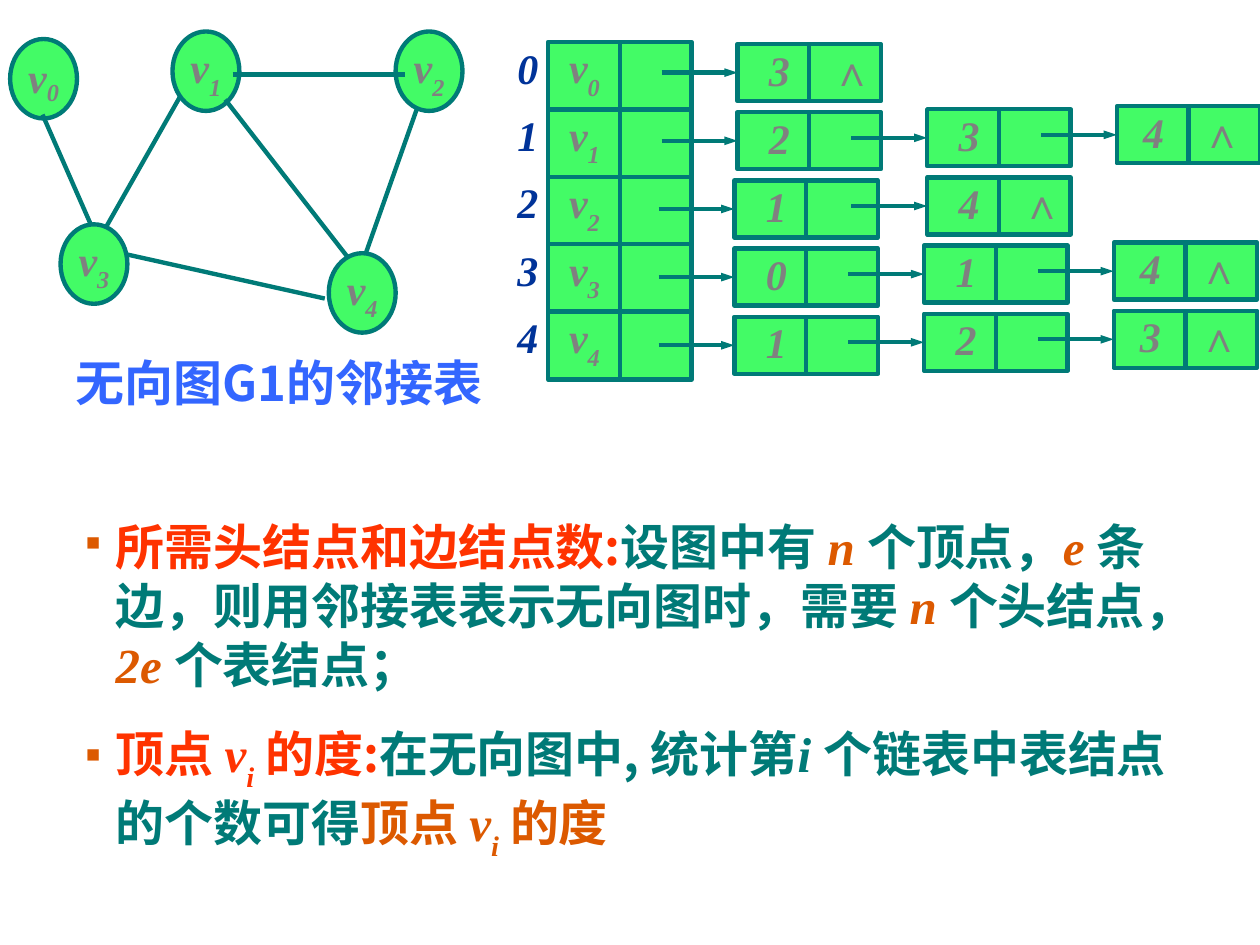
from lxml.etree import SubElement
from pptx import Presentation
from pptx.dml.color import RGBColor
from pptx.enum.shapes import MSO_CONNECTOR, MSO_SHAPE
from pptx.enum.text import MSO_ANCHOR, MSO_AUTO_SIZE, PP_ALIGN
from pptx.oxml.ns import qn
from pptx.util import Pt

COLORS = {"node": "43FB66", "teal": "007A77", "gray": "808080", "navy": "003399",
          "blue": "3366FF", "red": "FF3300", "orange": "DC5900"}
CHINESE, LATIN = "Noto Sans CJK SC", "Times New Roman"
SYMBOL = {"name": LATIN, "size": Pt(24), "bold": True, "italic": True}
CHINESE_BODY = {"name": CHINESE, "size": Pt(28), "bold": True, "italic": False}
LATIN_BODY = {"name": LATIN, "size": Pt(28), "bold": True, "italic": True}

VERTICES = [(0, 4.3, -20), (92.8, 0, -30), (220.3, 0, -30), (28.8, 110.2, -30), (182.1, 126.7, -30)]
EDGES = [(18.5, 47.5, 46.4, 111), (97, 37.4, 54.5, 112.3), (122.9, 38.9, 193.4, 129.6),
         (66.7, 127.4, 179.8, 152.6), (127.2, 24.5, 225.8, 24.5), (232.3, 44.6, 203.5, 126)]
ADJACENCY = ["3", "234", "14", "014", "123"]
POINTS = [
    [("所需头结点和边结点数:", "red"), ("设图中有 ", "teal"), ("n ", "orange", LATIN_BODY),
     ("个顶点，", "teal"), ("e ", "orange", LATIN_BODY),
     ("条边，则用邻接表表示无向图时，需要 ", "teal"), ("n ", "orange", LATIN_BODY),
     ("个头结点，", "teal"), ("2e ", "orange", LATIN_BODY), ("个表结点；", "teal")],
    [("顶点 ", "red"), ("v", "red", LATIN_BODY), ("i", "red", LATIN_BODY, -30),
     (" 的度:", "red"), ("在无向图中, 统计第", "teal"), ("i ", "teal", LATIN_BODY),
     ("个链表中表结点的个数可得", "teal"), ("顶点 ", "orange"), ("v", "orange", LATIN_BODY),
     ("i", "orange", LATIN_BODY, -30), (" 的度", "orange")],
]


def color(name):
    return RGBColor.from_string(COLORS[name])


def add_run(paragraph, text, color_name, style=CHINESE_BODY, baseline=0):
    run = paragraph.add_run()
    run.text = text
    for key, value in style.items():
        setattr(run.font, key, value)
    run.font.color.rgb = color(color_name)
    properties = run.font._element
    if baseline:
        properties.set("baseline", str(baseline * 1000))
    SubElement(properties, qn("a:ea"), typeface=CHINESE)


def set_frame(frame, **values):
    defaults = {"margin_left": 0, "margin_right": 0, "margin_top": 0, "margin_bottom": 0,
                "word_wrap": True, "vertical_anchor": MSO_ANCHOR.TOP,
                "auto_size": MSO_AUTO_SIZE.NONE}
    for key, value in {**defaults, **values}.items():
        setattr(frame, key, value)


def add_tabs(paragraph, positions):
    tabs = SubElement(paragraph._p.get_or_add_pPr(), qn("a:tabLst"))
    for position in positions:
        SubElement(tabs, qn("a:tab"), pos=str(Pt(position)), algn="l")


def add_node(slide, kind, left, top, width, height, alignment, anchor):
    shape = slide.shapes.add_shape(kind, Pt(left), Pt(top), Pt(width), Pt(height))
    shape.shadow.inherit = False
    shape.fill.solid()
    shape.fill.fore_color.rgb = color("node")
    shape.line.color.rgb = color("teal")
    shape.line.width = Pt(2.5)
    set_frame(shape.text_frame, vertical_anchor=anchor)
    paragraph = shape.text_frame.paragraphs[0]
    paragraph.alignment = alignment
    return shape, paragraph


def add_line(slide, x1, y1, x2, y2):
    line = slide.shapes.add_connector(MSO_CONNECTOR.STRAIGHT, Pt(x1), Pt(y1), Pt(x2), Pt(y2))
    line.line.color.rgb = color("teal")
    line.line.width = Pt(2.5)
    SubElement(line._element.spPr, qn("a:effectLst"))
    return line


def add_arrow(slide, target, x1, y, x2):
    arrow = add_line(slide, x1, y, x2, y)
    arrow.end_connect(target, 1)
    SubElement(arrow.line._get_or_add_ln(), qn("a:tailEnd"), type="triangle", w="sm", len="med")


def add_cell(slide, left, top, height, tabs):
    shape, paragraph = add_node(slide, MSO_SHAPE.RECTANGLE, left, top, 82, height,
                                PP_ALIGN.LEFT, MSO_ANCHOR.TOP)
    add_tabs(paragraph, tabs)
    add_line(slide, left + 41, top, left + 41, top + height)
    return shape, paragraph


def add_graph(slide, left, top):
    for index, (x, y, baseline) in enumerate(VERTICES):
        _, paragraph = add_node(slide, MSO_SHAPE.OVAL, left + x, top + y, 38.2, 45.4,
                                PP_ALIGN.CENTER, MSO_ANCHOR.MIDDLE)
        add_run(paragraph, "v", "gray", SYMBOL)
        add_run(paragraph, str(index), "gray", SYMBOL, baseline)
    for x1, y1, x2, y2 in EDGES:
        add_line(slide, left + x1, top + y1, left + x2, top + y2)


def add_heads(slide, left, top):
    for row in range(len(ADJACENCY)):
        y = top + 38.5 * row
        label = slide.shapes.add_textbox(Pt(left), Pt(y), Pt(20), Pt(35.3))
        set_frame(label.text_frame)
        paragraph = label.text_frame.paragraphs[0]
        paragraph.alignment = PP_ALIGN.CENTER
        add_run(paragraph, str(row), "navy", SYMBOL)
        _, paragraph = add_cell(slide, left + 21.6, y, 38.9, [12])
        add_run(paragraph, "\tv", "gray", SYMBOL)
        add_run(paragraph, str(row), "gray", SYMBOL, -30)


def add_chains(slide, left, top):
    height = 32.6
    for row, chain in enumerate(ADJACENCY):
        for column, vertex in enumerate(chain):
            shifted = row > 1 and (row, column) != (2, 1)
            x = left + 108.4 * column - (1.8 if shifted else 0)
            y = top + 38.95 * row - 1.7 * column
            tabs = [15, 48.5] if column == 2 else [18, 54]
            shape, paragraph = add_cell(slide, x, y, height, tabs)
            ending = "\t∧" if column == len(chain) - 1 else ""
            add_run(paragraph, f"\t{vertex}{ending}", "gray", SYMBOL)
            add_arrow(slide, shape, x - 43.3, y + height / 2, x)


def place_text(shape, left, top, width, height):
    box = {"left": left, "top": top, "width": width, "height": height}
    for key, value in box.items():
        setattr(shape, key, Pt(value))
    set_frame(shape.text_frame, margin_left=Pt(7.2), margin_right=Pt(7.2),
              margin_top=Pt(3.6), margin_bottom=Pt(3.6))


def add_title(slide, left, top, width, height):
    title = slide.shapes.title
    place_text(title, left, top, width, height)
    paragraph = title.text_frame.paragraphs[0]
    paragraph.alignment = PP_ALIGN.LEFT
    add_run(paragraph, "无向图G1的邻接表", "blue")


def add_points(slide, left, top, width, height):
    shape = slide.shapes.add_textbox(0, 0, 0, 0)
    place_text(shape, left, top, width, height)
    frame = shape.text_frame
    for index, runs in enumerate(POINTS):
        paragraph = frame.add_paragraph() if index else frame.paragraphs[0]
        properties = paragraph._p.get_or_add_pPr()
        properties.set("marL", str(Pt(17)))
        properties.set("indent", str(-Pt(17)))
        bullet_color = SubElement(properties, qn("a:buClr"))
        SubElement(bullet_color, qn("a:srgbClr"), val=COLORS["orange"])
        SubElement(properties, qn("a:buSzPct"), val="40000")
        SubElement(properties, qn("a:buChar"), char="■")
        paragraph.space_before = Pt(17.5 if index else 0)
        for run in runs:
            add_run(paragraph, *run)


def main():
    presentation = Presentation()
    presentation.slide_width, presentation.slide_height = Pt(720), Pt(540)
    slide = presentation.slides.add_slide(presentation.slide_layouts[5])
    add_heads(slide, 291.6, 24)
    add_chains(slide, 421.4, 25.2)
    add_graph(slide, 5.8, 18)
    add_title(slide, 36, 198, 251, 70)
    add_points(slide, 42, 291.6, 642, 205)
    presentation.save("out.pptx")


if __name__ == "__main__":
    main()
